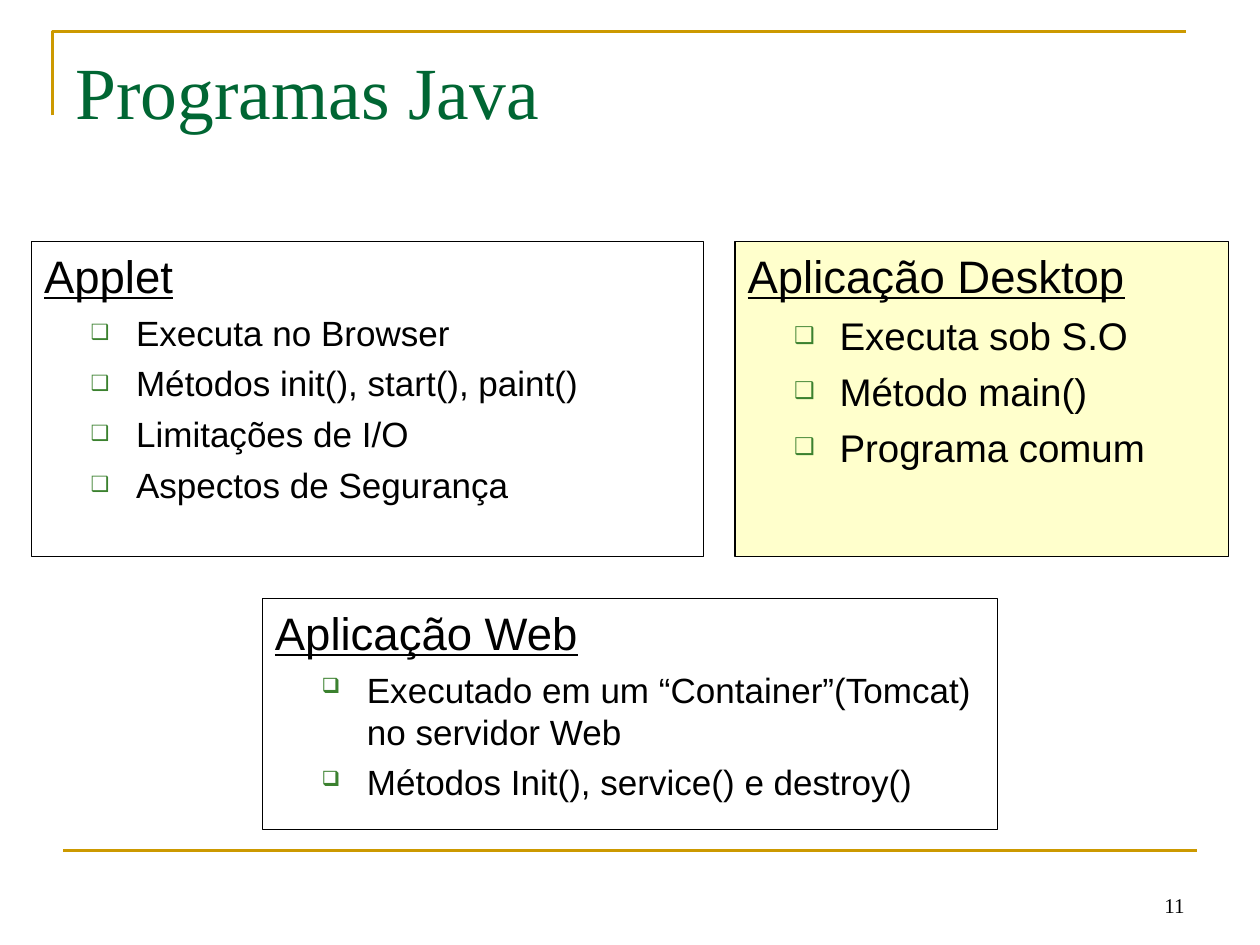
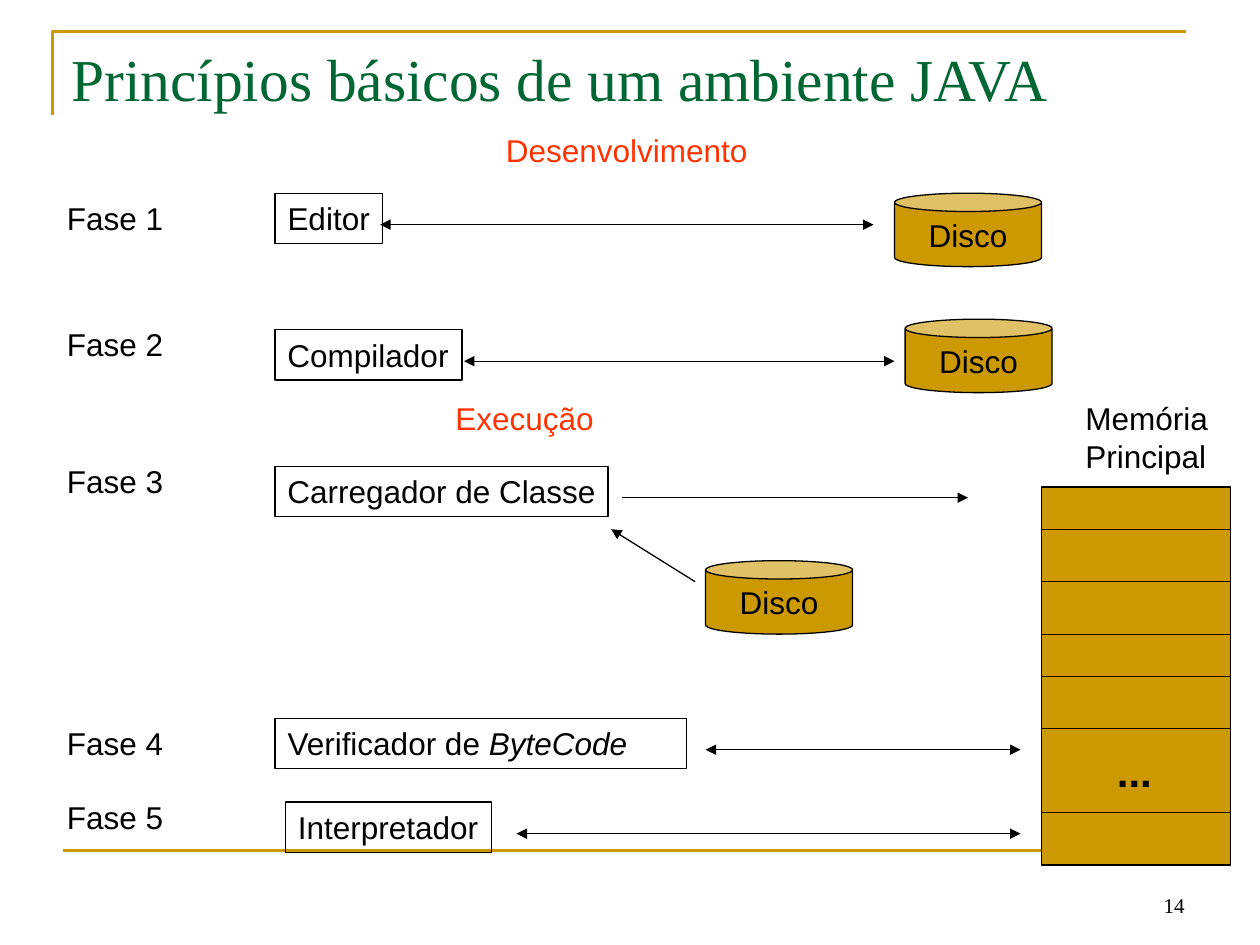
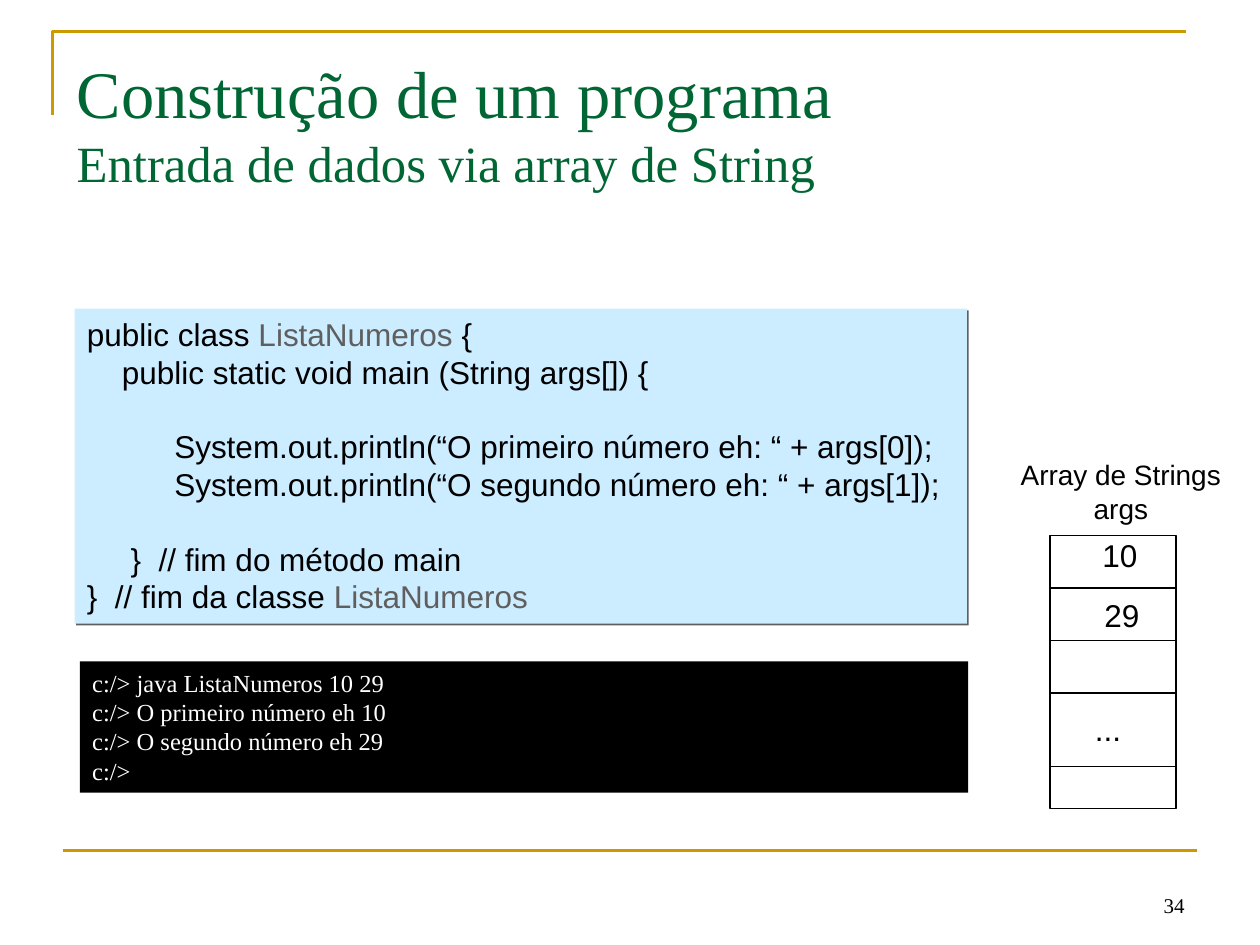
from lxml import etree
from pptx import Presentation
from pptx import util as u
from pptx.dml.color import RGBColor
from pptx.enum import shapes, text
from pptx.oxml.ns import qn

COLS, ROWS = 120, 90
SANS, SERIF = "Arial", "Times New Roman"
BLACK, WHITE, GOLD, GREEN = "000000", "FFFFFF", "CC9900", "006633"
RED, GRAY, CREAM, SKY, BULLET = "FF3300", "5F5F5F", "FFFFCC", "CCECFF", "3B812F"
LEFT, CENTER, RIGHT = text.PP_ALIGN.LEFT, text.PP_ALIGN.CENTER, text.PP_ALIGN.RIGHT
TOP, MIDDLE, BOTTOM = text.MSO_ANCHOR.TOP, text.MSO_ANCHOR.MIDDLE, text.MSO_ANCHOR.BOTTOM

prs = Presentation()
prs.slide_width, prs.slide_height = u.Inches(10), u.Inches(7.5)


def rgb(color):
    return RGBColor.from_string(color)


def grid(x, y):
    return round(prs.slide_width * x / COLS), round(prs.slide_height * y / ROWS)


def place(sp, box):
    sp.left, sp.top = grid(*box[:2])
    sp.width, sp.height = grid(*box[2:])


def within(box, x, y, *size):
    return (box[0] + x, box[1] + y, *size)


def child(parent, tag, **attrs):
    return etree.SubElement(parent, qn(tag), {k: str(v) for k, v in attrs.items()})


def paint(sp, fill=None, line=None, width=0.75):
    if fill:
        sp.fill.solid()
        sp.fill.fore_color.rgb = rgb(fill)
    else:
        sp.fill.background()
    if line:
        sp.line.color.rgb = rgb(line)
        sp.line.width = u.Pt(width)
    else:
        sp.line.fill.background()


def style(p, size, color=BLACK, font=SANS, align=LEFT):
    p.alignment = align
    for r in p.runs:
        r.font.size, r.font.name = u.Pt(size), font
        r.font.color.rgb = rgb(color)


def write(sp, lines, size=18, color=BLACK, font=SANS, align=LEFT, anchor=TOP, wrap=True):
    tf = sp.text_frame
    tf.word_wrap, tf.vertical_anchor = wrap, anchor
    tf.auto_size = text.MSO_AUTO_SIZE.NONE
    tf.text = "\n".join(lines)
    for p in tf.paragraphs:
        style(p, size, color, font, align)
    return tf


def accent(p, size, word, color=BLACK, italic=False):
    before, after = p.text.split(word)
    p.text = ""
    for part in (before, word, after):
        if part:
            r = p.add_run()
            r.text = part
    style(p, size)
    for r in p.runs:
        if r.text == word:
            r.font.color.rgb = rgb(color)
            r.font.italic = italic


def label(s, box, lines, **kw):
    sp = s.shapes.add_textbox(*grid(*box[:2]), *grid(*box[2:]))
    return write(sp, lines, wrap=False, **kw)


def block(s, box, fill=None, line=BLACK, kind=shapes.MSO_SHAPE.RECTANGLE):
    sp = s.shapes.add_shape(kind, *grid(*box[:2]), *grid(*box[2:]))
    sp.shadow.inherit = False
    paint(sp, fill, line)
    return sp


def connect(s, start, end, color=BLACK, width=0.75, head=False, tail=False):
    cn = s.shapes.add_connector(shapes.MSO_CONNECTOR.STRAIGHT, *grid(*start), *grid(*end))
    cn.line.color.rgb = rgb(color)
    cn.line.width = u.Pt(width)
    ln = cn.line._get_or_add_ln()
    for tag, wanted in (("a:headEnd", head), ("a:tailEnd", tail)):
        if wanted:
            child(ln, tag, type="triangle")
    child(cn._element.spPr, "a:effectLst")


def stack(s, box, width, heights, fill=None):
    block(s, within(box, 0, 0, width, sum(heights)), fill)
    x, y = box[:2]
    for height in heights[:-1]:
        y += height
        connect(s, (x, y), (x + width, y))


def base_slide(layout, title, box, size, number, anchor=MIDDLE):
    s = prs.slides.add_slide(prs.slide_layouts[layout])
    frame = s.shapes.build_freeform(*grid(5, 11))
    frame.add_line_segments([grid(5, 3), grid(113, 3)], close=False)
    corner = frame.convert_to_shape()
    corner.shadow.inherit = False
    paint(corner, None, GOLD, 1.5)
    connect(s, (6, 81), (114, 81), GOLD, 1.5)
    page = s.shapes.add_textbox(*grid(86, 82), *grid(28, 6))
    write(page, [number], 12, font=SERIF, align=RIGHT, anchor=BOTTOM)
    place(s.shapes.title, box)
    write(s.shapes.title, title, size, GREEN, SERIF, anchor=anchor)
    return s


def panel(sp, box, heading, items, size, fill=None):
    place(sp, box)
    paint(sp, fill, BLACK)
    tf = write(sp, [heading, *items], size)
    for i, p in enumerate(tf.paragraphs):
        pPr = p._p.get_or_add_pPr()
        if i == 0:
            p.space_before = u.Pt(0)
            style(p, 26)
            p.runs[0].font.underline = True
            pPr.set("marL", "0")
            pPr.set("indent", "0")
            child(pPr, "a:buNone")
            continue
        p.level = 1
        p.space_before = u.Pt(size / 4)
        pPr.set("marL", str(u.Inches(0.73)))
        pPr.set("indent", str(u.Inches(-0.36)))
        child(child(pPr, "a:buClr"), "a:srgbClr", val=BULLET)
        child(pPr, "a:buSzPct", val=60000)
        child(pPr, "a:buChar", char="❑")


def programs_slide():
    s = base_slide(3, ["Programas Java"], (6, 3.6, 59, 10), 42, "11")
    applet, desktop = s.placeholders[1], s.placeholders[2]
    web = s.shapes.add_textbox(0, 0, 0, 0)
    panel(applet, (3, 23, 64, 30), "Applet",
          ["Executa no Browser", "Métodos init(), start(), paint()",
           "Limitações de I/O", "Aspectos de Segurança"], 20)
    panel(desktop, (70, 23, 47, 30), "Aplicação Desktop",
          ["Executa sob S.O", "Método main()", "Programa comum"], 22, CREAM)
    panel(web, (25, 57, 70, 22), "Aplicação Web",
          ["Executado em um “Container”(Tomcat) no servidor Web",
           "Métodos Init(), service() e destroy()"], 20)


def phases(s, box):
    steps = [
        ("Editor", 18, 26, 18, 10.2, 36, 83, True),
        ("Compilador", 30, 26, 31, 17.8, 44, 85, True),
        ("Carregador de Classe", 43, 26, 44, 31.7, 59, 92, False),
        ("Verificador de ByteCode", 68, 26, 68, 39.2, 67, 97, True),
        ("Interpretador", 75, 27, 76, 19.6, 49, 97, True),
    ]
    for n, (name, label_y, x, y, w, start, end, both) in enumerate(steps, 1):
        label(s, within(box, 5, label_y, 11.5, 4.8), [f"Fase {n}"])
        tf = write(block(s, within(box, x, y, w, 4.8)), [name], wrap=False)
        if "ByteCode" in name:
            accent(tf.paragraphs[0], 18, "ByteCode", italic=True)
        connect(s, within(box, start, y + 3), within(box, end, y + 3), head=both, tail=True)


def disks(s, box):
    for x, y in ((85, 18), (86, 30), (67, 53)):
        can = block(s, within(box, x, y, 14, 7), GOLD, kind=shapes.MSO_SHAPE.CAN)
        write(can, ["Disco"], align=CENTER, anchor=MIDDLE, wrap=False)
    connect(s, within(box, 66, 55), within(box, 58, 50), tail=True)


def memory(s, box):
    label(s, within(box, 3, -9, 14.9, 8.4), ["Memória", "Principal"])
    stack(s, box, 18, [4, 5, 5, 4, 5, 8, 5], GOLD)
    dots = label(s, within(box, 6, 24, 5.8, 6), ["..."], size=24)
    dots.paragraphs[0].runs[0].font.bold = True


def environment_slide():
    s = base_slide(5, ["Princípios básicos de um ambiente JAVA"],
                   (5.6, 3.4, 97.2, 8.3), 34, "14", TOP)
    diagram = (0.2, 0.4)
    phases(s, diagram)
    disks(s, diagram)
    memory(s, within(diagram, 99, 46))
    label(s, within(diagram, 46.8, 11.5, 25.4, 4.8), ["Desenvolvimento"], color=RED)
    label(s, within(diagram, 42, 37, 15.6, 4.8), ["Execução"], color=RED)


def code_box(s, box):
    sp = block(s, box, SKY, None)
    shadow = child(sp._element.spPr.find(qn("a:effectLst")), "a:outerShdw",
                   dist=u.Pt(1.4), dir=45 * 60000, algn="ctr", rotWithShape=0)
    child(shadow, "a:srgbClr", val=GRAY)
    tf = write(sp, [
        "public class ListaNumeros {",
        "    public static void main (String args[]) {",
        "          System.out.println(“O primeiro número eh: “ + args[0]);",
        "          System.out.println(“O segundo número eh: “ + args[1]);",
        "     }  // fim do método main",
        "}  // fim da classe ListaNumeros",
    ])
    for i in (0, 5):
        accent(tf.paragraphs[i], 18, "ListaNumeros", GRAY)
    for i in (2, 4):
        tf.paragraphs[i].space_before = u.Pt(21)


def argument_array(s, box):
    label(s, within(box, -4, -8, 21.5, 7.7), ["Array de Strings", "args"],
          size=16, align=CENTER)
    stack(s, box, 12, [5, 5, 5, 7, 4])
    for x, y, value in ((3.8, -0.5, "10"), (4, 5.2, "29"), (3.1, 16, "...")):
        label(s, within(box, x, y, 5.8, 4.8), [value])


def program_slide():
    s = base_slide(5, ["Construção de um programa", "Entrada de dados via array de String"],
                   (6.1, 6.2, 108, 11), 38, "34")
    style(s.shapes.title.text_frame.paragraphs[1], 29, GREEN, SERIF)
    code_box(s, (7.1, 29.4, 85, 30))
    argument_array(s, (100, 51))
    console = block(s, (7.6, 63, 84.6, 12.5), BLACK, None)
    write(console, ["c:/> java ListaNumeros 10 29", "c:/> O primeiro número eh 10",
                    "c:/> O segundo número eh 29", "c:/>"], 14, WHITE, SERIF)


def main():
    programs_slide()
    environment_slide()
    program_slide()
    prs.save("out.pptx")


if __name__ == "__main__":
    main()
